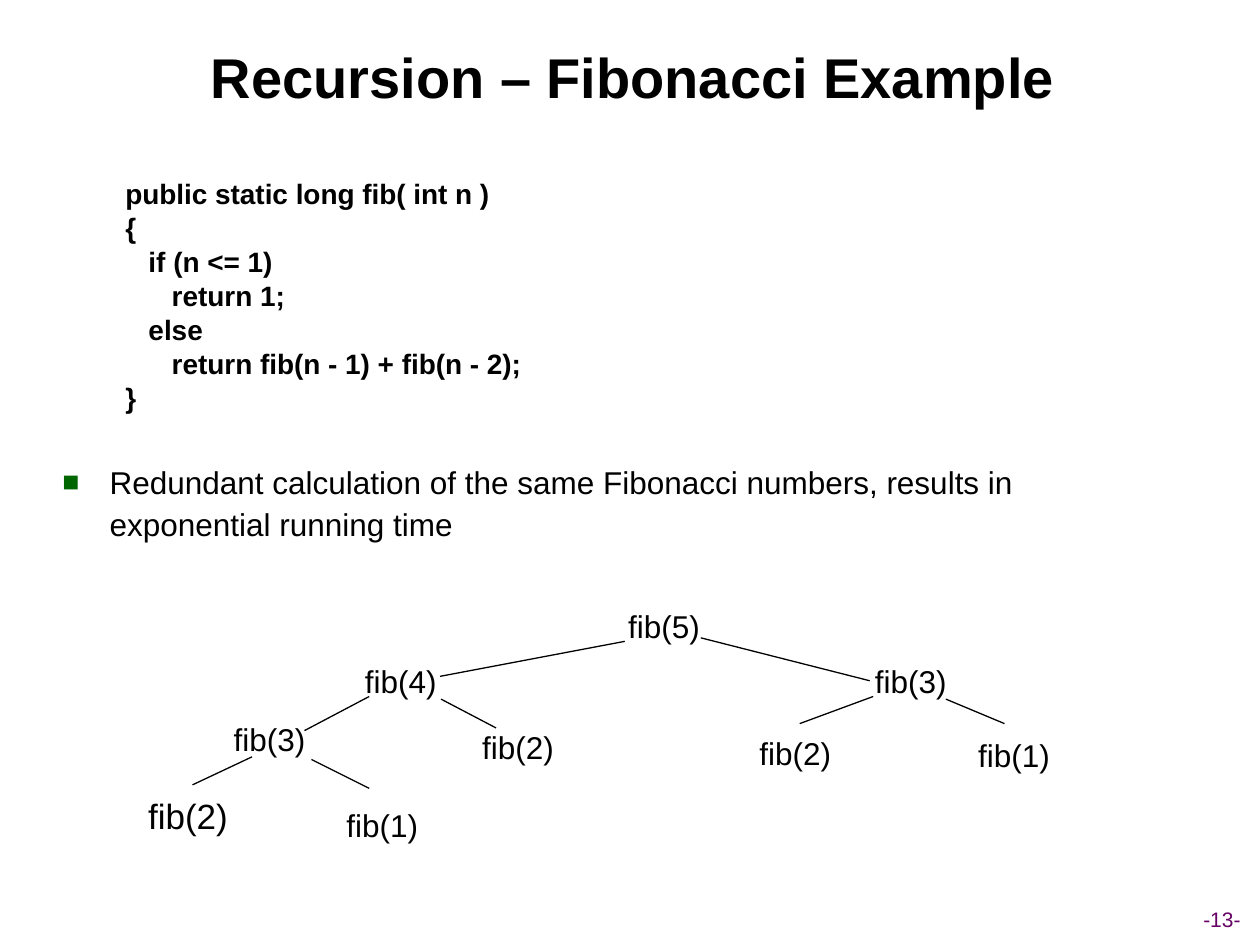
import pptx
import pptx.util
import pptx.dml.color
import pptx.enum.shapes
import pptx.enum.text
import pptx.oxml.ns
import lxml.etree

Pt = pptx.util.Pt
RGBColor = pptx.dml.color.RGBColor
ALIGN = pptx.enum.text.PP_ALIGN
MIDDLE = pptx.enum.text.MSO_ANCHOR.MIDDLE

BLACK = RGBColor(0x00, 0x00, 0x00)
GREEN = RGBColor(0x00, 0x66, 0x00)
PURPLE = RGBColor(0x66, 0x00, 0x66)
FONT = "Arial"

CODE = [
    "public static long fib( int n )",
    "{",
    "   if (n <= 1)",
    "      return 1;",
    "   else",
    "      return fib(n - 1) + fib(n - 2);",
    "}",
]
POINT = ("Redundant calculation of the same Fibonacci numbers, "
         "results in exponential running time")

# Tree nodes: label, left, top, text size
NODES = [
    ("fib(5)", 352, 343.5, 18),
    ("fib(4)", 201.5, 375, 18),
    ("fib(3)", 493, 375, 18),
    ("fib(3)", 126.5, 408, 18),
    ("fib(2)", 268.5, 412.5, 18),
    ("fib(2)", 427, 416, 18),
    ("fib(1)", 552, 417, 18),
    ("fib(2)", 77, 450.5, 20),
    ("fib(1)", 191, 457, 18),
]
# Tree edges: from x, y to x, y
EDGES = [
    (357, 366.5, 251.5, 386.5),
    (400.5, 364.5, 497, 389),
    (211, 398, 174, 417.5),
    (252, 399.5, 283.5, 416),
    (499, 398, 457, 413.5),
    (540.5, 399.5, 574, 413.5),
    (144, 432.5, 110, 448.5),
    (178, 434, 211, 450.5),
]


def place(shape, left, top, width, height):
    shape.left, shape.top = Pt(left), Pt(top)
    shape.width, shape.height = Pt(width), Pt(height)


def style(para, size, color=BLACK, bold=False):
    for run in para.runs:
        font = run.font
        font.name, font.size, font.bold = FONT, Pt(size), bold
        font.color.rgb = color


def indent(para, left, first, mark=None):
    """Set the hanging indent and the bullet, or no bullet."""
    props = para._p.get_or_add_pPr()
    props.set("marL", str(Pt(left)))
    props.set("indent", str(Pt(first)))

    def add(root, tag, **attrs):
        name = pptx.oxml.ns.qn("a:" + tag)
        return lxml.etree.SubElement(root, name, **attrs)

    if mark is None:
        add(props, "buNone")
        return
    add(add(props, "buClr"), "srgbClr", val=str(GREEN))
    add(props, "buSzPct", val="90000")
    add(props, "buFont", typeface=FONT)
    add(props, "buChar", char=mark)


def add_title(slide, text):
    shape = slide.shapes.title
    place(shape, 28, 9, 667.5, 68.5)
    frame = shape.text_frame
    frame.text = text
    frame.vertical_anchor = MIDDLE
    para = frame.paragraphs[0]
    para.alignment = ALIGN.CENTER
    style(para, 32, bold=True)


def add_body(slide):
    shape = slide.placeholders[1]
    place(shape, 28.4, 75, 603.5, 378)
    frame = shape.text_frame
    frame.text = "\n".join(CODE + [POINT])
    frame.auto_size = pptx.enum.text.MSO_AUTO_SIZE.NONE
    frame.margin_top = Pt(29.8)

    # Code lines
    *lines, point = frame.paragraphs
    for i, para in enumerate(lines):
        para.level = 1
        indent(para, 58.5, -22.5)
        para.line_spacing = 0.8
        para.space_before = Pt(4 if i else 0)
        style(para, 16, bold=True)

    # Bullet point
    indent(point, 27, -27, "■")
    point.line_spacing = 1.12
    point.space_before = Pt(25.5)
    style(point, 18)


def add_label(slide, text, box, size, color=BLACK):
    shape = slide.shapes.add_textbox(*map(Pt, box))
    frame = shape.text_frame
    frame.text = text
    frame.word_wrap = False
    frame.vertical_anchor = MIDDLE
    frame.margin_left = frame.margin_right = 0
    frame.margin_top = frame.margin_bottom = 0
    para = frame.paragraphs[0]
    para.alignment = ALIGN.CENTER
    style(para, size, color)


def add_edge(slide, ends):
    kind = pptx.enum.shapes.MSO_CONNECTOR.STRAIGHT
    edge = slide.shapes.add_connector(kind, *map(Pt, ends))
    edge.line.color.rgb = BLACK
    edge.line.width = Pt(0.75)
    name = pptx.oxml.ns.qn("a:effectLst")
    lxml.etree.SubElement(edge._element.spPr, name)


def main():
    deck = pptx.Presentation()
    deck.slide_width, deck.slide_height = Pt(720), Pt(540)
    slide = deck.slides.add_slide(deck.slide_layouts[1])

    add_title(slide, "Recursion – Fibonacci Example")
    add_body(slide)

    # Call tree
    for ends in EDGES:
        add_edge(slide, ends)
    for text, left, top, size in NODES:
        box = (left, top, 3 * size + 1, 1.15 * size + 8)
        add_label(slide, text, box, size)

    # Page number
    add_label(slide, "-13-", (676.5, 514.5, 43.5, 21.5), 12, PURPLE)

    deck.save("out.pptx")


if __name__ == "__main__":
    main()
